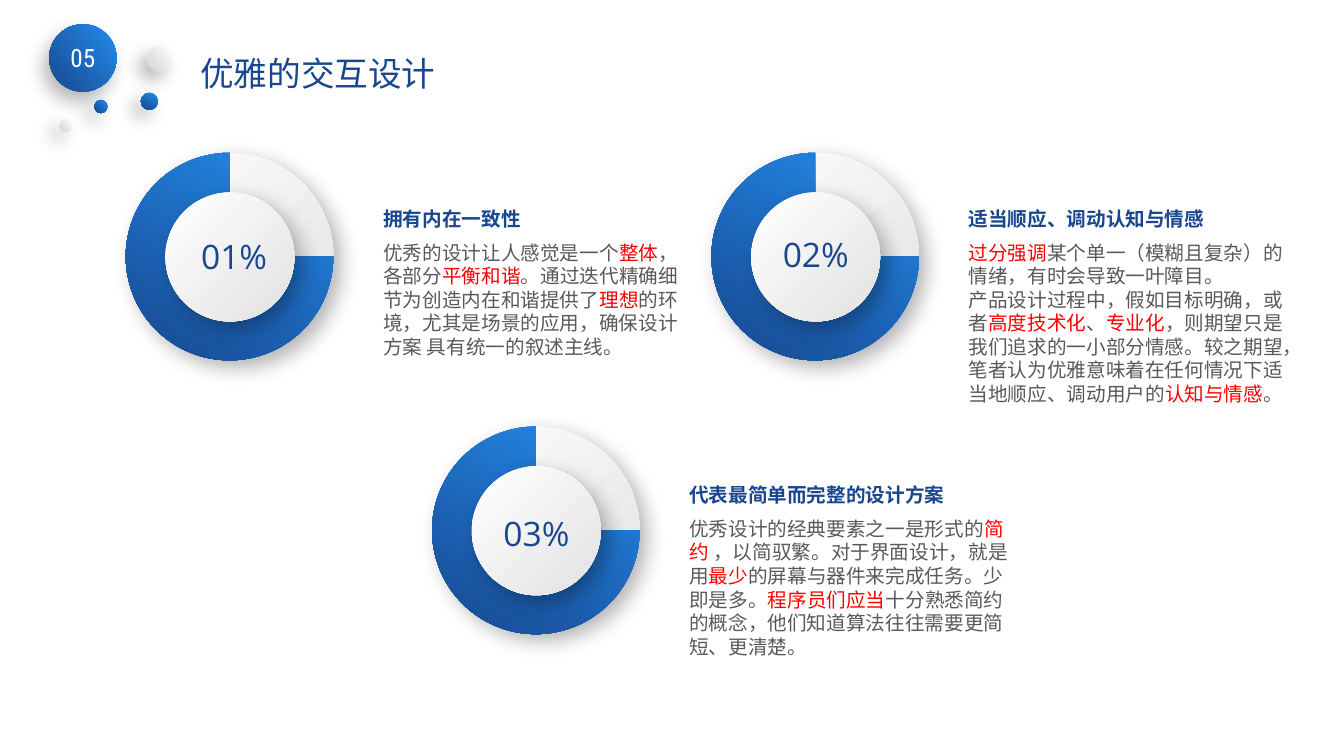
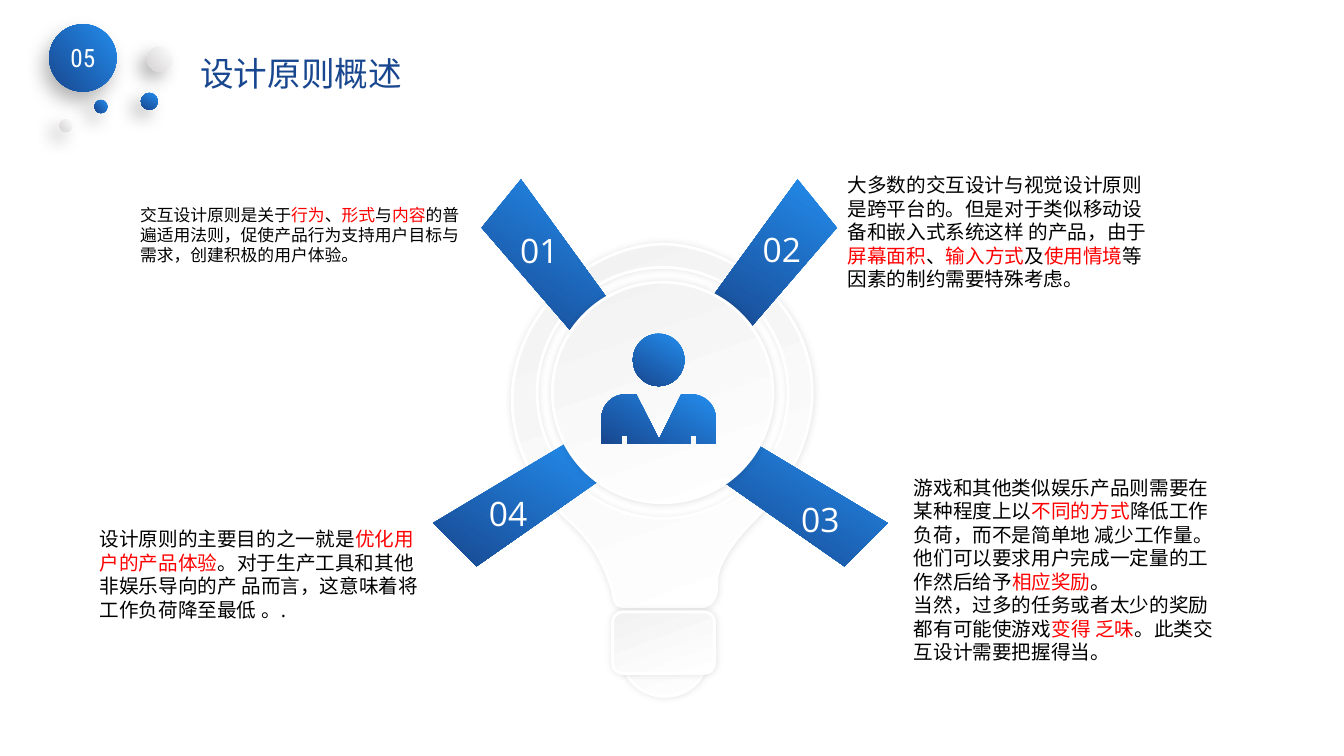
from dataclasses import dataclass

from lxml.etree import SubElement
from pptx import Presentation
from pptx.dml.color import RGBColor
from pptx.enum.lang import MSO_LANGUAGE_ID as Language
from pptx.enum.shapes import MSO_SHAPE as Preset
from pptx.enum.text import MSO_ANCHOR as Anchor, PP_ALIGN as Align
from pptx.oxml.ns import qn
from pptx.util import Cm, Pt


@dataclass(frozen=True)
class Theme:
    # Colours
    navy: str = "18478F"
    white: str = "FFFFFF"
    black: str = "000000"
    gray: str = "595959"
    accent: str = "FF0000"
    # Gradients, from first to last stop
    blue: tuple = ("238DED", "18478F")
    silver: tuple = ("FFFFFF", "E2E2E2")
    pearl: tuple = ("FFFFFF", "D4D2D3")
    porcelain: tuple = ("FFFFFF", "F2F2F2")
    # Shadows: opacity %, blur pt, distance pt, direction in degrees
    ring_shadow: tuple = (30, 15, 7, 45)
    badge_shadow: tuple = (30, 14, 8, 120)
    dot_shadow: tuple = (30, 13, 8, 135)
    glow: tuple = (11, 5, 0, 0)
    # Type
    latin: str = "Open Sans"
    chinese: str = "Noto Sans CJK SC"
    condensed: str = "Roboto Condensed"
    title_size: int = 24
    badge_size: int = 18
    body_size: int = 14
    small_size: int = 12
    line_height: float = 1.2


THEME = Theme()


def write_text(frame, text, size=THEME.body_size, color=THEME.black,
               font=THEME.latin, bold=False, align=Align.LEFT, spaced=True):
    """Write one paragraph per line; parts between bars take the accent colour."""
    for index, line in enumerate(text.split("\n")):
        paragraph = frame.paragraphs[0] if index == 0 else frame.add_paragraph()
        paragraph.alignment = align
        if spaced:
            paragraph.line_spacing = Pt(size * THEME.line_height)
        for position, part in enumerate(line.split("|")):
            if not part:
                continue
            run = paragraph.add_run()
            run.text = part
            run.font.size = Pt(size)
            run.font.bold = bold
            run.font.name = font
            run.font.language_id = Language.SIMPLIFIED_CHINESE
            run.font.color.rgb = RGBColor.from_string(
                THEME.accent if position % 2 else color)
            SubElement(run.font._element, qn("a:ea"), typeface=THEME.chinese)


class Deck:
    def __init__(self):
        self.presentation = Presentation()
        self.presentation.slide_width = Cm(33.87)
        self.presentation.slide_height = Cm(19.05)
        self.slide = None

    def add_slide(self, title):
        self.slide = self.presentation.slides.add_slide(
            self.presentation.slide_layouts[6])
        self.text(title, 4.8, 1.22, 6.73, 1.27, size=THEME.title_size,
                  color=THEME.navy)
        # Numbered badge and loose dots
        badge = self.preset(Preset.OVAL, 1.24, 0.61, 1.7, 1.7, THEME.blue, 140,
                            shadow=THEME.badge_shadow)
        frame = badge.text_frame
        frame.margin_left = frame.margin_right = 0
        frame.vertical_anchor = Anchor.MIDDLE
        write_text(frame, "05", size=THEME.badge_size, color=THEME.white,
                   font=THEME.condensed, align=Align.CENTER, spaced=False)
        for left, top, size, colors, angle in (
                (3.71, 1.17, 0.64, THEME.pearl, 140),
                (1.5, 3, 0.33, THEME.pearl, 140),
                (2.38, 2.52, 0.33, THEME.blue, 140),
                (3.55, 2.34, 0.43, THEME.blue, 120)):
            self.preset(Preset.OVAL, left, top, size, size, colors, angle,
                        shadow=THEME.dot_shadow)

    def style(self, shape, colors, angle, shadow=None, line=None):
        shape.fill.gradient()
        shape.fill.gradient_angle = 360 - angle
        for stop, color in zip(shape.fill.gradient_stops, colors):
            stop.color.rgb = RGBColor.from_string(color)
        if line:
            shape.line.color.rgb = RGBColor.from_string(line)
            shape.line.width = Pt(2)
        else:
            shape.line.fill.background()
        shape.shadow.inherit = False
        if shadow:
            opacity, blur, distance, direction = shadow
            effects = shape._element.spPr.find(qn("a:effectLst"))
            outer = SubElement(effects, qn("a:outerShdw"), blurRad=str(Pt(blur)),
                               dist=str(Pt(distance)), dir=str(direction * 60000),
                               algn="ctr", rotWithShape="0")
            tone = SubElement(outer, qn("a:srgbClr"), val=THEME.black)
            SubElement(tone, qn("a:alpha"), val=str(opacity * 1000))
        return shape

    def preset(self, kind, left, top, width, height, colors, angle, **effects):
        shape = self.slide.shapes.add_shape(
            kind, Cm(left), Cm(top), Cm(width), Cm(height))
        return self.style(shape, colors, angle, **effects)

    def polygon(self, corners, colors, angle, **effects):
        first, *others = [(Cm(x), Cm(y)) for x, y in corners]
        builder = self.slide.shapes.build_freeform(*first)
        builder.add_line_segments(others, close=True)
        return self.style(builder.convert_to_shape(), colors, angle, **effects)

    def curved(self, box, contours, colors, angle, **effects):
        """Fill a box with contours of a start, lines (x, y) and six-number curves."""
        left, top, width, height = box
        right, bottom = left + width, top + height
        shape = self.polygon([(left, top), (right, top), (right, bottom),
                              (left, bottom)], colors, angle, **effects)
        course = shape._element.find(".//" + qn("a:path"))
        for child in list(course):
            course.remove(child)
        for contour in contours:
            for index, step in enumerate(contour):
                tag = "a:lnTo" if len(step) == 2 else "a:cubicBezTo"
                move = SubElement(course, qn(tag if index else "a:moveTo"))
                for x, y in zip(step[::2], step[1::2]):
                    SubElement(move, qn("a:pt"), x=str(Cm(x) - Cm(left)),
                               y=str(Cm(y) - Cm(top)))
            SubElement(course, qn("a:close"))

    def text(self, text, left, top, width, height, **format):
        frame = self.slide.shapes.add_textbox(
            Cm(left), Cm(top), Cm(width), Cm(height)).text_frame
        frame.word_wrap = True
        write_text(frame, text, **format)

    def ring(self, left, top):
        self.preset(Preset.OVAL, left, top, 5.23, 5.23, THEME.silver, 45,
                    shadow=THEME.ring_shadow)
        self.preset(Preset.PIE, left, top, 5.23, 5.23, THEME.blue, 120)
        self.preset(Preset.OVAL, left + 1, top + 1, 3.25, 3.25, THEME.silver, 45,
                    shadow=THEME.ring_shadow)

    def number(self, text, left, top, width, color):
        self.text(text, left, top, width, 1.27, size=THEME.title_size,
                  color=color, align=Align.CENTER)

    def porcelain(self, kind, left, top, width, height):
        self.preset(kind, left, top, width, height, THEME.porcelain, 250,
                    shadow=THEME.glow, line=THEME.white)


def build_elegance(deck):
    deck.add_slide("优雅的交互设计")
    # Ring corner, number corner, text corner, heading width, body size, wording
    topics = (
        ((3.17, 3.85), (3.98, 5.82), (9.41, 5.08), 5.03, (8, 3.25), "01%",
         "拥有内在一致性",
         "优秀的设计让人感觉是一个|整体|，各部分|平衡和谐|。通过迭代精确细节为创造内在"
         "和谐提供了|理想|的环境，尤其是场景的应用，确保设计方案 具有统一的叙述主线。"),
        ((17.93, 3.85), (18.64, 5.77), (24.16, 5.08), 8.46, (8.46, 4.45), "02%",
         "适当顺应、调动认知与情感",
         "|过分强调|某个单一（模糊且复杂）的情绪，有时会导致一叶障目。\n"
         "产品设计过程中，假如目标明确，或者|高度技术化|、|专业化|，则期望只是我们追求的"
         "一小部分情感。较之期望，笔者认为优雅意味着在任何情况下适当地顺应、调动用户的"
         "|认知与情感|。"),
        ((10.89, 10.75), (11.6, 12.8), (17.12, 12.04), 9.63, (8.81, 3.84), "03%",
         "代表最简单而完整的设计方案",
         "优秀设计的经典要素之一是形式的|简约| ，以简驭繁。对于界面设计，就是用|最少|的"
         "屏幕与器件来完成任务。少即是多。|程序员们应当|十分熟悉简约的概念，他们知道算法"
         "往往需要更简短、更清楚。"),
    )
    for ring, label, (left, top), span, (width, height), number, heading, body in topics:
        deck.ring(*ring)
        deck.number(number, *label, 3.84, THEME.navy)
        deck.text(heading, left, top, span, 0.86, color=THEME.navy,
                  font=THEME.chinese, bold=True)
        deck.text(body, left, top + 0.86, width, height, color=THEME.gray,
                  font=THEME.chinese)


def build_principles(deck):
    deck.add_slide("设计原则概述")
    # Light bulb: glass with a round opening, then tip and cap
    glass = (
        (16.71, 6.15),
        (19.38, 6.2, 22.23, 9.53, 19.1, 13),
        (18.69, 13.41, 18.03, 14.12, 18.06, 14.73),
        (18.08, 15.09, 17.91, 15.27, 17.7, 15.29),
        (15.75, 15.29),
        (15.42, 15.29, 15.49, 15.01, 15.42, 14.83),
        (15.16, 13.97, 14.78, 13.51, 14.3, 13.08),
        (11.2, 10.06, 13.84, 6.2, 16.71, 6.15))
    opening = (
        (16.7, 6.74),
        (14.95, 6.74, 13.54, 8.15, 13.54, 9.9),
        (13.54, 11.65, 14.95, 13.06, 16.7, 13.06),
        (18.45, 13.06, 19.86, 11.65, 19.86, 9.9),
        (19.86, 8.15, 18.45, 6.74, 16.7, 6.74))
    deck.curved((12.9, 6.15, 7.57, 9.14), (glass, opening), THEME.porcelain, 250,
                shadow=THEME.glow, line=THEME.white)
    deck.porcelain(Preset.OVAL, 15.7, 15.62, 2.11, 1.93)
    deck.porcelain(Preset.ROUNDED_RECTANGLE, 15.44, 15.42, 2.57, 1.55)

    # Spokes, each mirrored to the right, and the hub over them
    upper = [(15.32, 7.54), (13.13, 4.52), (12.14, 5.74), (14.45, 8.41)]
    lower = [(14.22, 11.2), (10.92, 13.18), (12.01, 14.27), (15.16, 12.07)]
    for spoke, mirror in ((upper, 33.23), (lower, 33.29)):
        mirrored = [(mirror - x, y) for x, y in spoke]
        for corners in (spoke, mirrored):
            deck.polygon(corners, THEME.blue, 120)
    deck.porcelain(Preset.OVAL, 13.92, 7.11, 5.56, 5.56)

    # Person
    deck.preset(Preset.OVAL, 15.95, 8.41, 1.3, 1.32, THEME.blue, 120)
    bust = (
        (15.67, 11.18), (15.67, 10.97), (15.82, 10.97), (15.82, 11.18),
        (17.4, 11.18), (17.4, 10.97), (17.55, 10.97), (17.55, 11.18),
        (18.04, 11.18), (18.04, 10.54), (18.04, 10.19, 17.76, 9.93, 17.4, 9.93),
        (17.17, 9.93), (16.61, 11.07), (16.03, 9.93),
        (15.8, 9.93), (15.44, 9.93, 15.16, 10.19, 15.16, 10.54), (15.16, 11.18))
    deck.curved((15.16, 9.93, 2.88, 1.25), (bust,), THEME.blue, 120)

    # Numbers on the spokes and the principles beside them
    principles = (
        ("01", (12.73, 5.66), (3.28, 5.03, 8.69, 1.8), THEME.small_size,
         "交互设计原则是关于|行为|、|形式|与|内容|的普遍适用法则，促使产品行为支持用户目标与"
         "需求，创建积极的用户体验。"),
        ("02", (18.84, 5.64), (21.11, 4.24, 8.4, 3.25), THEME.body_size,
         "大多数的交互设计与视觉设计原则是跨平台的。但是对于类似移动设备和嵌入式系统这样 "
         "的产品，由于|屏幕面积|、|输入方式|及|使用情境|等因素的制约需要特殊考虑。"),
        ("03", (19.81, 12.45), (22.78, 11.86, 8.4, 5.05), THEME.body_size,
         "游戏和其他类似娱乐产品则需要在某种程度上以|不同的方式|降低工作负荷，而不是简单地 "
         "减少工作量。\n他们可以要求用户完成一定量的工作然后给予|相应奖励|。\n"
         "当然，过多的任务或者太少的奖励都有可能使游戏|变得 乏味|。此类交互设计需要把握得当。"),
        ("04", (11.94, 12.29), (2.26, 13.16, 8.69, 2.64), THEME.body_size,
         "设计原则的主要目的之一就是|优化用户的产品体验|。对于生产工具和其他非娱乐导向的产 "
         "品而言，这意味着将工作负荷降至最低 。."),
    )
    for number, corner, box, size, body in principles:
        deck.number(number, *corner, 1.73, THEME.white)
        deck.text(body, *box, size=size)


def main():
    deck = Deck()
    build_elegance(deck)
    build_principles(deck)
    deck.presentation.save("out.pptx")


if __name__ == "__main__":
    main()
